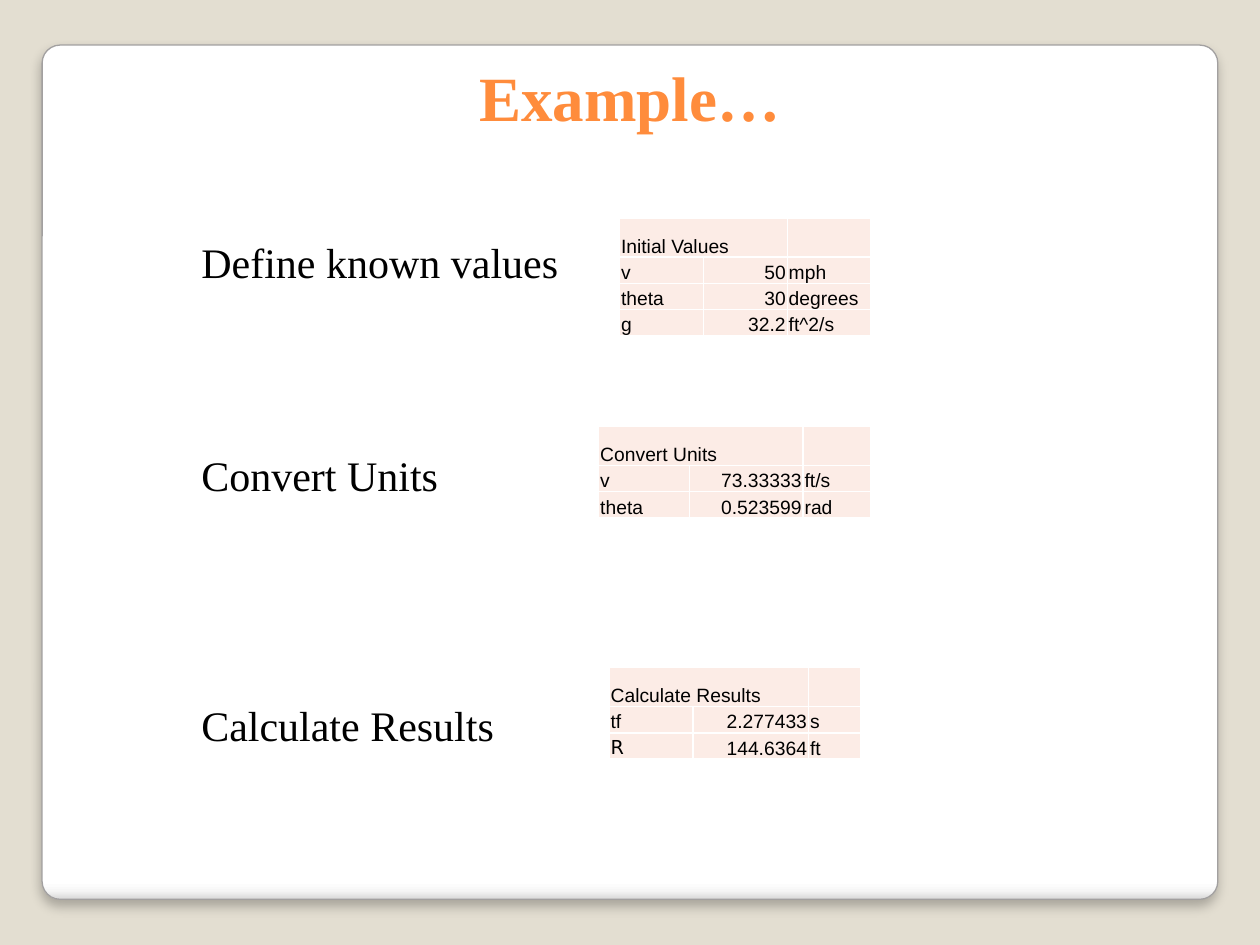
import pptx
import pptx.dml.color
import pptx.enum.shapes
import pptx.enum.text
import pptx.oxml
import pptx.oxml.ns
import pptx.util

Cm = pptx.util.Cm
Pt = pptx.util.Pt
RGBColor = pptx.dml.color.RGBColor
Align = pptx.enum.text.PP_ALIGN

BACKGROUND = RGBColor(0xE3, 0xDE, 0xD1)
CARD_LINE = RGBColor(0xA2, 0xA0, 0xA0)
ORANGE = RGBColor(0xFF, 0x8C, 0x3C)
BLACK = RGBColor(0, 0, 0)
WHITE = RGBColor(0xFF, 0xFF, 0xFF)
CELL_FILL = RGBColor(0xFC, 0xEC, 0xE6)
CARD_STOPS = [
    (0, WHITE),
    (98, WHITE),
    (99, RGBColor(0xF6, 0xF6, 0xF6)),
    (100, RGBColor(0xD8, 0xD8, 0xD8)),
]

TITLE_FONT = {"name": "Times New Roman", "size": Pt(36), "bold": True}
LABEL_FONT = {"name": "Times New Roman", "size": Pt(24)}
CELL_FONT = {"name": "Arial", "size": Pt(11)}
SYMBOL_FONT = {"name": "DejaVu Sans", "size": Pt(11)}
CELL_FORMAT = {
    "margin_left": Cm(0.03),
    "margin_right": Cm(0.03),
    "margin_top": Cm(0.03),
    "margin_bottom": 0,
    "vertical_anchor": pptx.enum.text.MSO_ANCHOR.BOTTOM,
}

# Positions and sizes are in centimetres.
TITLE = "Example…"
LABEL_LEFT, LABEL_HEIGHT, ROW_HEIGHT = 3.81, 1.28, 0.53
STEPS = [
    {
        "label": "Define known values", "label_top": 4.65, "label_width": 7.77,
        "heading": "Initial Values", "table_at": (12.49, 4.39),
        "columns": (1.69, 1.69, 1.69),
        "values": [("v", "50", "mph"), ("theta", "30", "degrees"),
                   ("g", "32.2", "ft^2/s")],
    },
    {
        "label": "Convert Units", "label_top": 8.94, "label_width": 5.33,
        "heading": "Convert Units", "table_at": (12.07, 8.59),
        "columns": (1.83, 2.29, 1.37),
        "values": [("v", "73.33333", "ft/s"), ("theta", "0.523599", "rad")],
    },
    {
        "label": "Calculate Results", "label_top": 13.97, "label_width": 6.45,
        "heading": "Calculate Results", "table_at": (12.28, 13.45),
        "columns": (1.69, 2.33, 1.06),
        "values": [("tf", "2.277433", "s"), ("R", "144.6364", "ft")],
    },
]


def drawing_xml(tag, attributes, content):
    namespace = pptx.oxml.ns.nsdecls("a")
    return pptx.oxml.parse_xml(
        f"<a:{tag} {namespace} {attributes}>{content}</a:{tag}>")


def apply_format(target, values):
    for name, value in values.items():
        setattr(target, name, value)


def write_text(text_frame, text, font, color=BLACK, alignment=Align.LEFT):
    paragraph = text_frame.paragraphs[0]
    paragraph.alignment = alignment
    run = paragraph.add_run()
    run.text = text
    apply_format(run.font, font)
    run.font.color.rgb = color


def add_card(slide):
    card = slide.shapes.add_shape(
        pptx.enum.shapes.MSO_SHAPE.ROUNDED_RECTANGLE,
        Cm(0.85), Cm(0.91), Cm(23.7), Cm(17.22))
    card.adjustments[0] = 0.021
    card.line.color.rgb = CARD_LINE
    card.line.width = Pt(0.75)
    card.fill.gradient()
    stops = "".join(
        f'<a:gs pos="{position * 1000}"><a:srgbClr val="{color}"/></a:gs>'
        for position, color in CARD_STOPS)
    properties = card.element.spPr
    gradient = drawing_xml(
        "gradFill", 'rotWithShape="1"',
        f'<a:gsLst>{stops}</a:gsLst><a:lin ang="5400000" scaled="0"/>')
    properties.replace(
        properties.find(pptx.oxml.ns.qn("a:gradFill")), gradient)
    properties.append(drawing_xml(
        "effectLst", "",
        f'<a:outerShdw blurRad="{Pt(6)}" dist="{Pt(4)}" dir="5400000" '
        'algn="t" rotWithShape="0"><a:srgbClr val="000000">'
        '<a:alpha val="25000"/></a:srgbClr></a:outerShdw>'))


def add_text(slide, text, box, font, **style):
    text_frame = slide.shapes.add_textbox(*map(Cm, box)).text_frame
    text_frame.word_wrap = True
    write_text(text_frame, text, font, **style)
    return text_frame


def format_cell(cell):
    apply_format(cell, CELL_FORMAT)
    properties = cell._tc.get_or_add_tcPr()
    for side in ("lnL", "lnR", "lnT", "lnB"):
        properties.append(drawing_xml(
            side, f'w="{Pt(1)}"',
            f'<a:solidFill><a:srgbClr val="{WHITE}"/></a:solidFill>'))
    cell.fill.solid()
    cell.fill.fore_color.rgb = CELL_FILL


def add_value_table(slide, step):
    columns = step["columns"]
    row_count = len(step["values"]) + 1
    left, top = step["table_at"]
    table = slide.shapes.add_table(
        row_count, len(columns), Cm(left), Cm(top),
        Cm(sum(columns)), Cm(ROW_HEIGHT * row_count)).table
    table.first_row = table.horz_banding = False
    for column, width in zip(table.columns, columns):
        column.width = Cm(width)
    for row in table.rows:
        row.height = Cm(ROW_HEIGHT)
    for cell in table.iter_cells():
        format_cell(cell)

    heading = table.cell(0, 0)
    heading.merge(table.cell(0, 1))
    write_text(heading.text_frame, step["heading"], CELL_FONT)
    for row_index, values in enumerate(step["values"], start=1):
        for column_index, text in enumerate(values):
            write_text(
                table.cell(row_index, column_index).text_frame, text,
                SYMBOL_FONT if text == "R" else CELL_FONT,
                alignment=Align.RIGHT if column_index == 1 else Align.LEFT)


def main():
    presentation = pptx.Presentation()
    presentation.slide_width = Cm(25.4)
    presentation.slide_height = Cm(19.05)
    slide = presentation.slides.add_slide(presentation.slide_layouts[6])
    slide.background.fill.solid()
    slide.background.fill.fore_color.rgb = BACKGROUND

    add_card(slide)
    add_text(slide, TITLE, (1.06, 1.06, 23.28, 3.18), TITLE_FONT,
             color=ORANGE, alignment=Align.CENTER)
    for step in STEPS:
        add_value_table(slide, step)
    for step in STEPS:
        box = (LABEL_LEFT, step["label_top"], step["label_width"], LABEL_HEIGHT)
        label = add_text(slide, step["label"], box, LABEL_FONT)
        label.auto_size = pptx.enum.text.MSO_AUTO_SIZE.SHAPE_TO_FIT_TEXT

    presentation.save("out.pptx")


if __name__ == "__main__":
    main()
